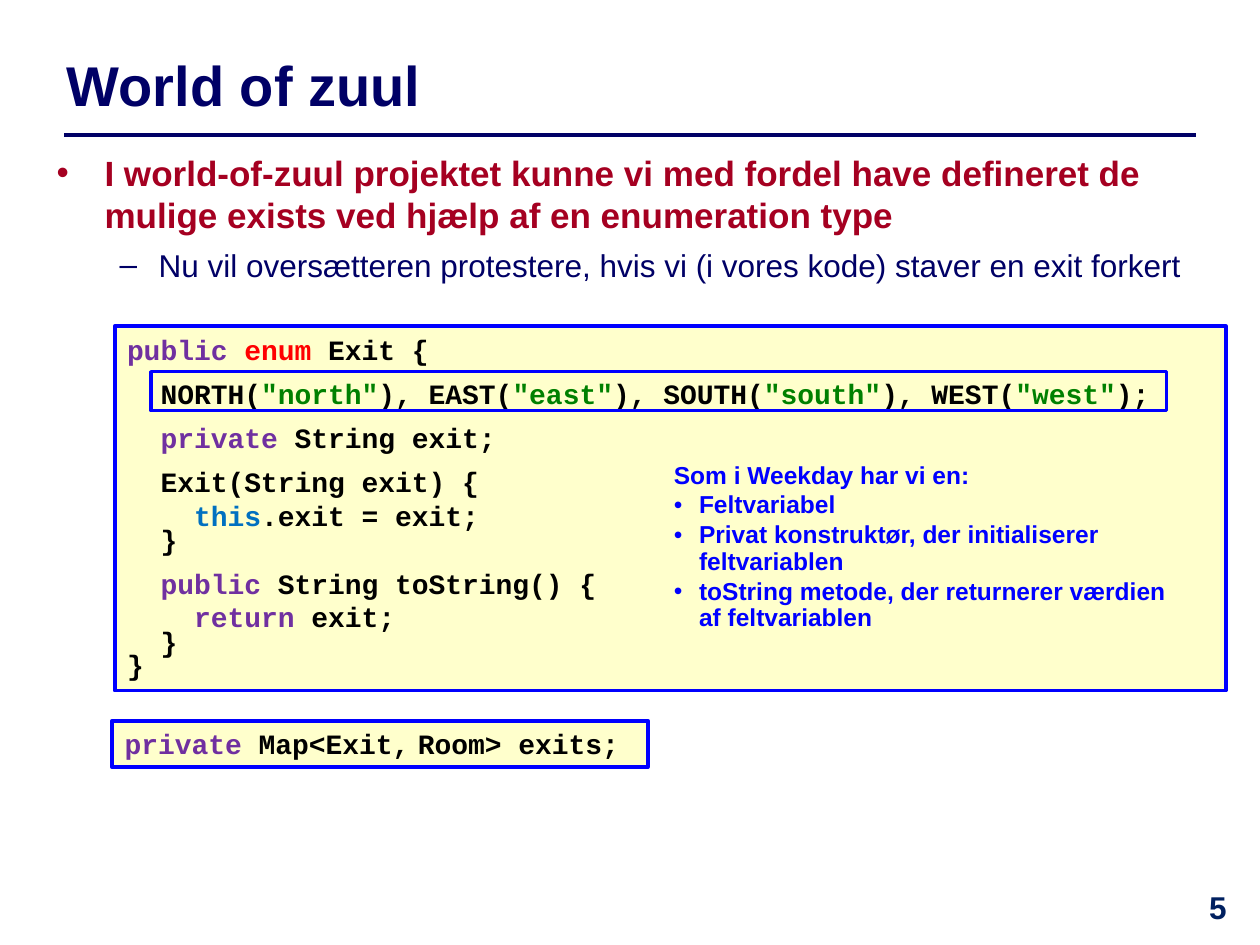
import pptx
import pptx.dml.color
import pptx.enum.shapes
import pptx.enum.text
import pptx.oxml.ns
import pptx.util
from lxml import etree

Pt = pptx.util.Pt
RGBColor = pptx.dml.color.RGBColor
ANCHOR = pptx.enum.text.MSO_ANCHOR
ALIGN = pptx.enum.text.PP_ALIGN

NAVY = RGBColor(0x00, 0x00, 0x66)
NUMBER_NAVY = RGBColor(0x00, 0x20, 0x60)
CRIMSON = RGBColor(0xA5, 0x00, 0x21)
BLUE = RGBColor(0x00, 0x00, 0xFF)
CREAM = RGBColor(0xFF, 0xFF, 0xCC)
BLACK = RGBColor(0x00, 0x00, 0x00)
PURPLE = RGBColor(0x70, 0x30, 0xA0)
RED = RGBColor(0xFF, 0x00, 0x00)
GREEN = RGBColor(0x00, 0x80, 0x00)
SKY = RGBColor(0x00, 0x70, 0xC0)

# The slide is a grid of 100 columns by 75 rows of square cells
CELL = pptx.util.Inches(0.1)
COLUMNS, ROWS = 100, 75

# Each code line: space before, line spacing, spans of (text, colour)
ENUM_CODE = [
    (0, 1, [("public ", PURPLE), ("enum ", RED), ("Exit {", BLACK)]),
    (6, 1, [("  NORTH(", BLACK), ('"north"', GREEN), ("), EAST(", BLACK),
            ('"east"', GREEN), ("), SOUTH(", BLACK), ('"south"', GREEN),
            ("), WEST(", BLACK), ('"west"', GREEN), (");", BLACK)]),
    (6, 1, [("  ", BLACK), ("private ", PURPLE), ("String exit;", BLACK)]),
    (6, 1, [("  Exit(String exit) {", BLACK)]),
    (0, 1, [("    ", BLACK), ("this", SKY), (".exit = exit;", BLACK)]),
    (0, 0.7, [("  }", BLACK)]),
    (6, 1, [("  ", BLACK), ("public ", PURPLE), ("String toString() {", BLACK)]),
    (0, 1, [("    ", BLACK), ("return", PURPLE), (" exit;", BLACK)]),
    (0, 0.7, [("  }", BLACK)]),
    (0, 0.7, [("}", BLACK)]),
]
NOTES = ["Feltvariabel",
         "Privat konstruktør, der initialiserer feltvariablen",
         "toString metode, der returnerer værdien af feltvariablen"]


def cells(*counts):
    return [int(count * CELL) for count in counts]


def add_span(para, text, size, color, bold=True, font="Arial"):
    span = para.add_run()
    span.text = text
    span.font.name, span.font.size, span.font.bold = font, Pt(size), bold
    span.font.color.rgb = color
    return span


def paragraph(frame, first, before=0, spacing=1):
    para = frame.paragraphs[0] if first else frame.add_paragraph()
    para.alignment = ALIGN.LEFT
    para.space_before, para.space_after = Pt(before), Pt(0)
    para.line_spacing = spacing
    return para


def set_bullet(para, mark, margin, hang):
    properties = para._p.get_or_add_pPr()
    properties.set("marL", str(int(margin * CELL)))
    properties.set("indent", str(int(-hang * CELL)))
    font = etree.SubElement(properties, pptx.oxml.ns.qn("a:buFont"))
    font.set("typeface", "Arial")
    bullet = etree.SubElement(properties, pptx.oxml.ns.qn("a:buChar"))
    bullet.set("char", mark)


def place(shape, box):
    shape.left, shape.top, shape.width, shape.height = cells(*box)
    frame = shape.text_frame
    frame.word_wrap = True
    frame.auto_size = pptx.enum.text.MSO_AUTO_SIZE.NONE
    return frame


def add_frame(page, box, weight, fill=None):
    shape = page.shapes.add_shape(pptx.enum.shapes.MSO_SHAPE.RECTANGLE, *cells(*box))
    shape.shadow.inherit = False
    shape.line.color.rgb, shape.line.width = BLUE, Pt(weight)
    if fill is None:
        shape.fill.background()
    else:
        shape.fill.solid()
        shape.fill.fore_color.rgb = fill
    return shape


def add_heading(page, box):
    left, top, width, height = box
    frame = place(page.shapes.title, box)
    frame.vertical_anchor = ANCHOR.MIDDLE
    add_span(paragraph(frame, True), "World of zuul", 32, NAVY)
    # Rule under the title
    rule = page.shapes.add_connector(
        pptx.enum.shapes.MSO_CONNECTOR.STRAIGHT,
        *cells(left + 0.8, top + 7.8, COLUMNS - left - 0.8, top + 7.8))
    rule.line.color.rgb, rule.line.width = NAVY, Pt(2)
    etree.SubElement(rule._element.spPr, pptx.oxml.ns.qn("a:effectLst"))


def add_points(page, box):
    frame = place(page.placeholders[1], box)
    frame.vertical_anchor = ANCHOR.TOP
    point = paragraph(frame, True)
    set_bullet(point, "•", 3.8, 3.8)
    add_span(point, "I world-of-zuul projektet kunne vi med fordel have defineret de "
             "mulige exists ved hjælp af en enumeration type", 20, CRIMSON)
    detail = paragraph(frame, False, before=6)
    detail.level = 1
    set_bullet(detail, "–", 8.1, 3.1)
    add_span(detail, "Nu vil oversætteren protestere, hvis vi (i vores kode) "
             "staver en exit forkert", 18, NAVY, bold=False)


def add_code(page, box, lines):
    frame = place(add_frame(page, box, 2.25, CREAM), box)
    frame.vertical_anchor = ANCHOR.TOP
    for index, (before, spacing, spans) in enumerate(lines):
        para = paragraph(frame, index == 0, before, spacing)
        for text, color in spans:
            add_span(para, text, 16, color, font="Courier New")
    return frame


def add_notes(page, box):
    frame = place(page.shapes.add_textbox(*cells(*box)), box)
    add_span(paragraph(frame, True), "Som i Weekday har vi en:", 14, BLUE)
    for note in NOTES:
        para = paragraph(frame, False, before=2, spacing=0.9)
        set_bullet(para, "•", 2, 2)
        add_span(para, note, 14, BLUE)


def add_enum_panel(page, box):
    left, top, width, height = box
    add_code(page, box, ENUM_CODE)
    # Outline around the constants
    add_frame(page, (left + 2.9, top + 3.6, width - 7.6, 3.1), 2)
    add_notes(page, (left + 43.4, top + 10.1, 41.6, 14.8))


def add_map_panel(page, box):
    frame = add_code(page, box, [(0, 1, [("private ", PURPLE), ("Map<Exit,", BLACK)])])
    para = frame.paragraphs[0]
    add_span(para, " ", 8, BLACK, font="Courier New")
    add_span(para, "Room> exits;", 16, BLACK, font="Courier New")


def add_page_number(page, box):
    frame = place(page.shapes.add_textbox(*cells(*box)), box)
    para = paragraph(frame, True)
    para.alignment = ALIGN.CENTER
    add_span(para, "5", 18, NUMBER_NAVY)


def main():
    deck = pptx.Presentation()
    deck.slide_width, deck.slide_height = cells(COLUMNS, ROWS)
    page = deck.slides.add_slide(deck.slide_layouts[1])
    add_heading(page, (4.3, 2.9, 94.9, 7.5))
    add_points(page, (3.5, 11.5, 96.5, 7.9))
    add_enum_panel(page, (9.1, 25.9, 88.2, 28.9))
    add_map_panel(page, (8.9, 57.2, 42.5, 3.7))
    add_page_number(page, (93.3, 70, 6.7, 5))
    deck.save("out.pptx")


if __name__ == "__main__":
    main()
